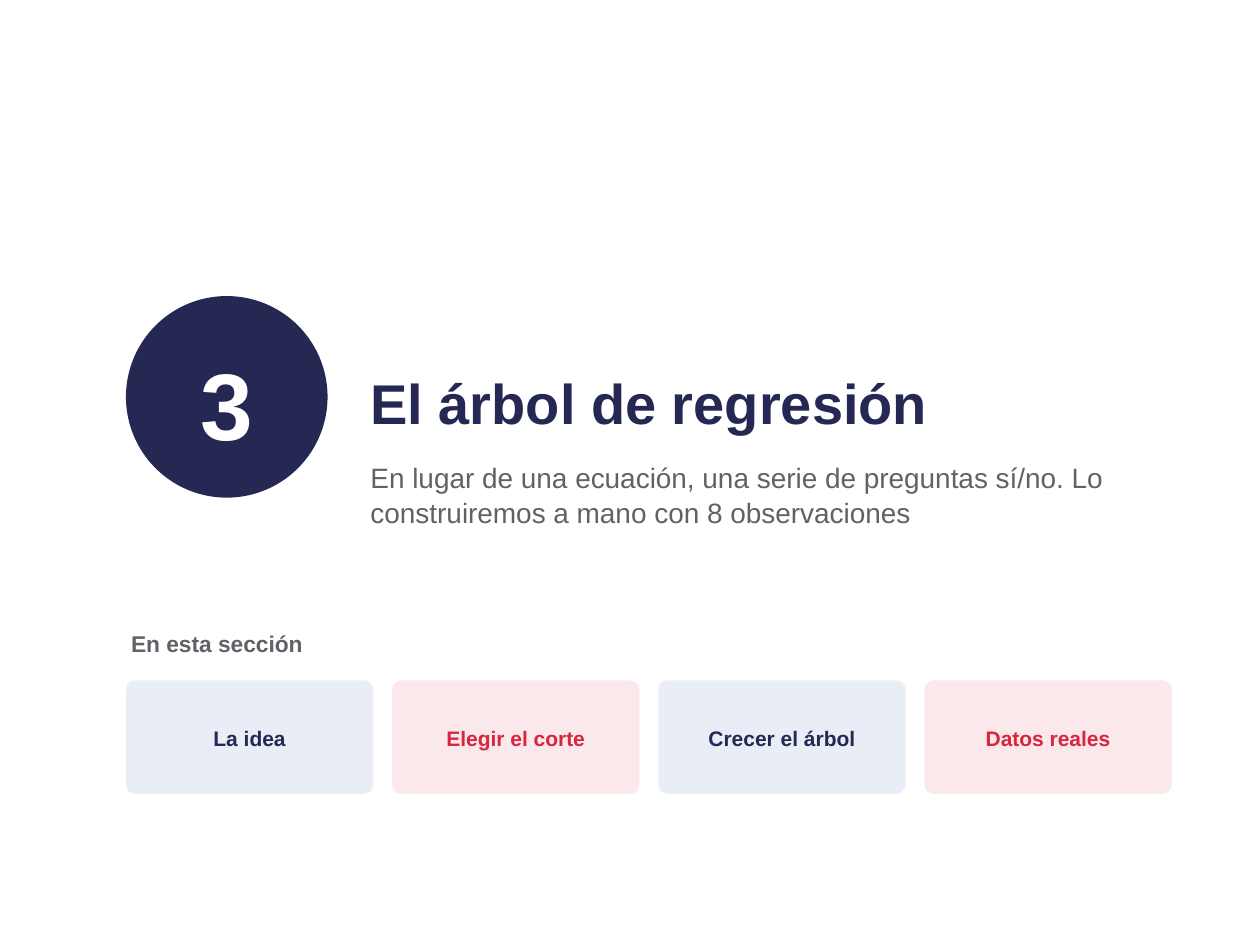
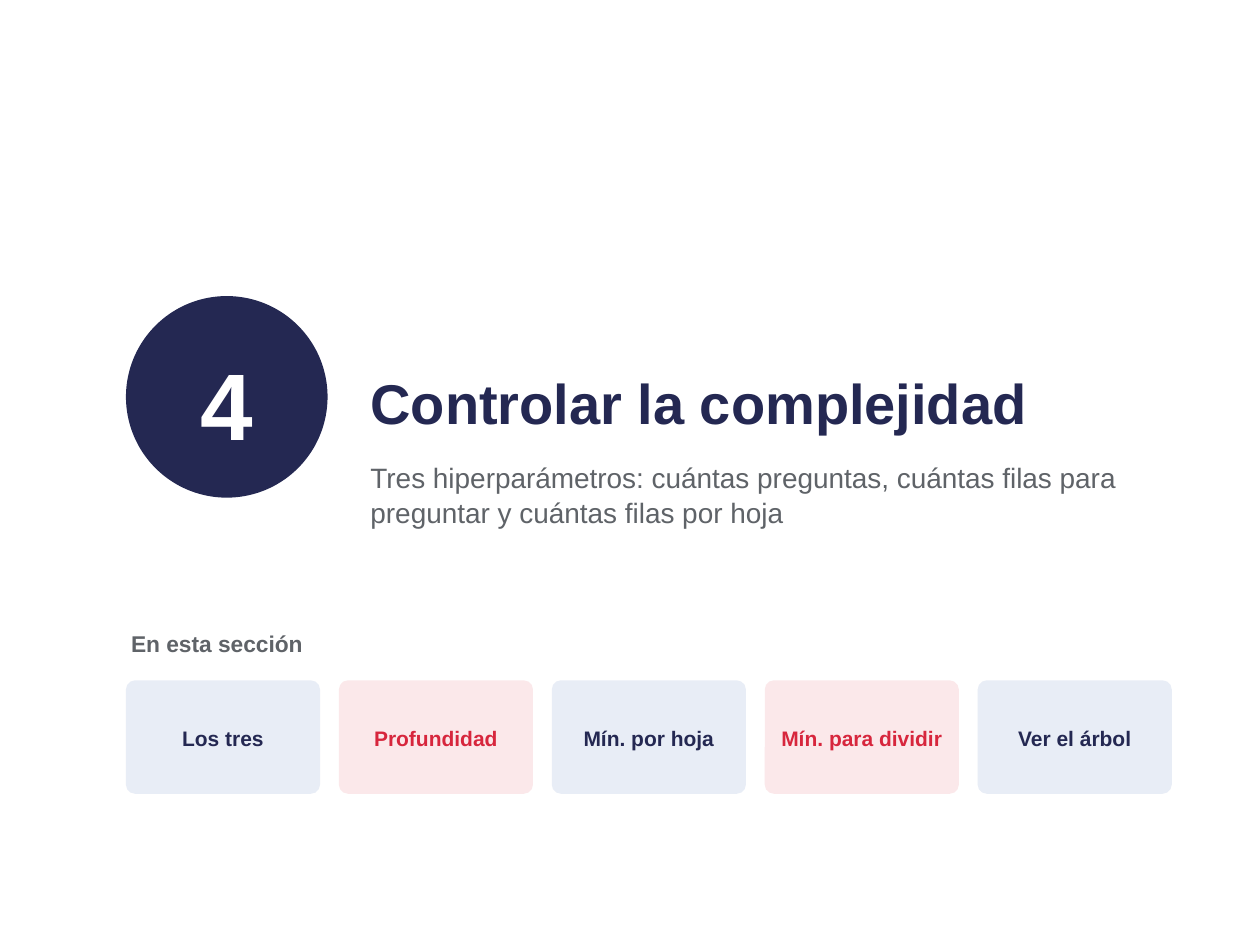
from pptx import Presentation
from pptx.dml.color import RGBColor
from pptx.enum.shapes import MSO_SHAPE as Shape
from pptx.enum.text import MSO_ANCHOR as Anchor, MSO_AUTO_SIZE as AutoSize, PP_ALIGN as Align
from pptx.util import Inches, Pt

FONT = "Arial"
COLORS = {
    "navy": "242852",
    "red": "D7263D",
    "gray": "5F6368",
    "white": "FFFFFF",
    "pale_blue": "E8EDF6",
    "pale_red": "FBE8EA",
}

# Shared layout, in inches
LEFT, CONTENT_WIDTH = 1, 8.3
HEADING_LEFT, HEADING_WIDTH = 2.9, 6.4
CARD_TOP, CARD_HEIGHT, CARD_GAP = 5.4, 0.9, 0.15
CARD_STYLES = [("pale_blue", "navy"), ("pale_red", "red")]

SECTIONS = [
    (
        "3",
        "El árbol de regresión",
        "En lugar de una ecuación, una serie de preguntas sí/no. "
        "Lo construiremos a mano con 8 observaciones",
        ["La idea", "Elegir el corte", "Crecer el árbol", "Datos reales"],
    ),
    (
        "4",
        "Controlar la complejidad",
        "Tres hiperparámetros: cuántas preguntas, cuántas filas para "
        "preguntar y cuántas filas por hoja",
        ["Los tres", "Profundidad", "Mín. por hoja", "Mín. para dividir", "Ver el árbol"],
    ),
]


def rgb(color):
    return RGBColor.from_string(COLORS[color])


def write(shape, text, size, color, bold=True, align=Align.LEFT,
          anchor=Anchor.TOP, inset=0.04, after=4, spacing=1.05):
    """Put one formatted paragraph in a shape, text box or placeholder."""
    frame = shape.text_frame
    frame.text = text
    frame.word_wrap = True
    frame.auto_size = AutoSize.NONE
    frame.vertical_anchor = anchor
    frame.margin_left = frame.margin_right = Inches(inset)
    frame.margin_top = frame.margin_bottom = Inches(inset)
    paragraph = frame.paragraphs[0]
    paragraph.alignment = align
    paragraph.space_before = Pt(0)
    paragraph.space_after = Pt(after)
    paragraph.line_spacing = spacing
    font = paragraph.font
    font.name, font.size, font.bold = FONT, Pt(size), bold
    font.color.rgb = rgb(color)


def place(placeholder, left, top, width, height):
    placeholder.left, placeholder.top = Inches(left), Inches(top)
    placeholder.width, placeholder.height = Inches(width), Inches(height)


def add_filled(slide, kind, box, fill, text, size, color):
    """Add a borderless shape with centred text."""
    shape = slide.shapes.add_shape(kind, *map(Inches, box))
    shape.shadow.inherit = False
    shape.fill.solid()
    shape.fill.fore_color.rgb = rgb(fill)
    shape.line.fill.background()
    write(shape, text, size, color, align=Align.CENTER, anchor=Anchor.MIDDLE,
          inset=0.08, after=3, spacing=1.1)
    return shape


def add_topic_cards(slide, topics):
    """Spread the topics evenly over the content width, alternating styles."""
    width = (CONTENT_WIDTH - CARD_GAP * (len(topics) - 1)) / len(topics)
    for i, topic in enumerate(topics):
        fill, color = CARD_STYLES[i % len(CARD_STYLES)]
        box = (LEFT + i * (width + CARD_GAP), CARD_TOP, width, CARD_HEIGHT)
        card = add_filled(slide, Shape.ROUNDED_RECTANGLE, box, fill, topic, 12, color)
        card.adjustments[0] = 0.08


def add_section(prs, number, heading, summary, topics):
    slide = prs.slides.add_slide(prs.slide_layouts[0])

    # Heading and summary
    title, subtitle = slide.shapes.title, slide.placeholders[1]
    place(title, HEADING_LEFT, 2, HEADING_WIDTH, 1.5)
    write(title, heading, 32, "navy", anchor=Anchor.BOTTOM)
    place(subtitle, HEADING_LEFT, 3.6, HEADING_WIDTH, 1.2)
    write(subtitle, summary, 16, "gray", bold=False)

    # Section number
    add_filled(slide, Shape.OVAL, (LEFT, 2.35, 1.6, 1.6), "navy", number, 54, "white")

    # Topics of the section
    label = slide.shapes.add_textbox(*map(Inches, (LEFT, 4.95, CONTENT_WIDTH, 0.4)))
    write(label, "En esta sección", 13, "gray")
    add_topic_cards(slide, topics)


def main():
    prs = Presentation()
    prs.slide_width, prs.slide_height = Inches(10), Inches(7.5)
    for section in SECTIONS:
        add_section(prs, *section)
    prs.save("out.pptx")


if __name__ == "__main__":
    main()
